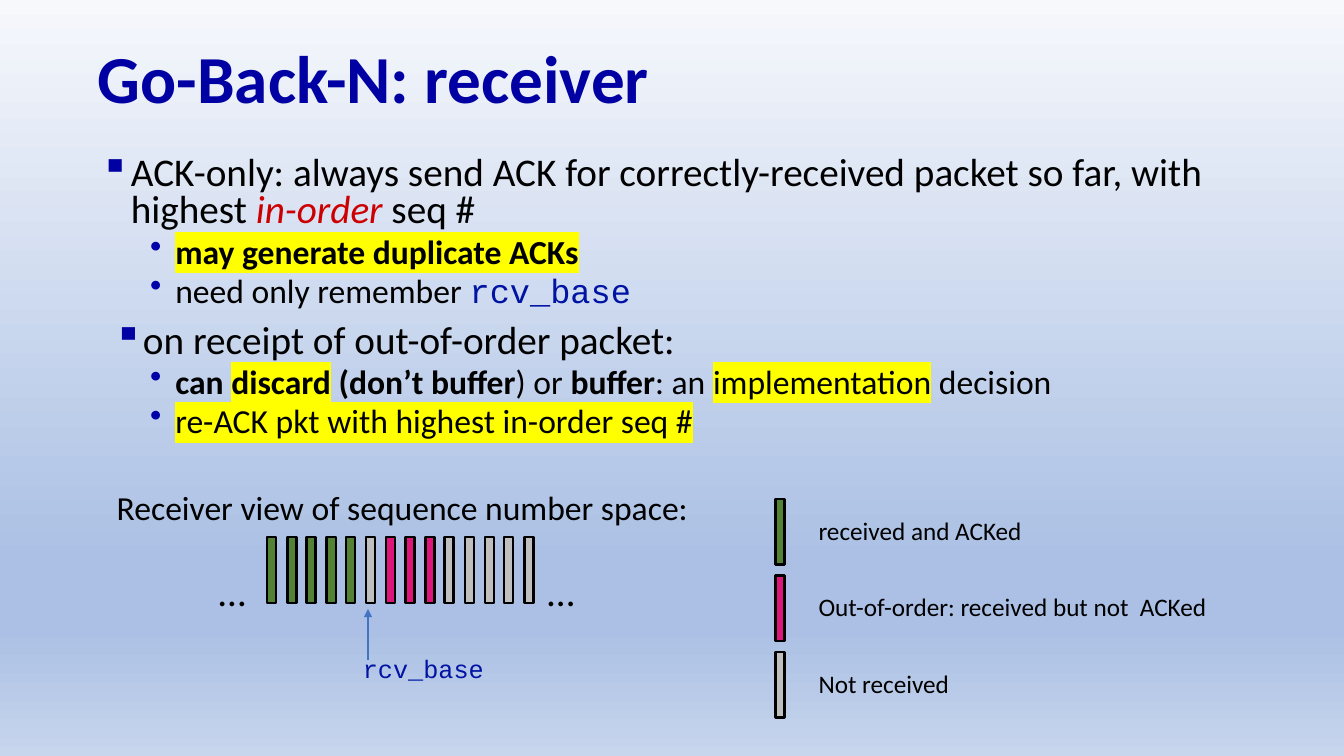
from copy import deepcopy
from dataclasses import dataclass

from lxml import etree
from pptx import Presentation
from pptx import util as u
from pptx.dml.color import RGBColor
from pptx.enum import shapes, text
from pptx.oxml.ns import qn

PX = 9144  # EMU in one px, 100 px to the inch


@dataclass(frozen=True)
class Theme:
    font: str = "Calibri"
    code_font: str = "Courier New"
    title_size: int = 48
    body_size: int = 28
    detail_size: int = 24
    label_size: int = 18
    navy: str = "0000A3"
    bullet_blue: str = "0000A8"
    code_blue: str = "0013A3"
    black: str = "000000"
    red: str = "CC0000"
    yellow: str = "FFFF00"
    acked: str = "548235"
    out_of_order: str = "DF167A"
    missing: str = "BFBFBF"
    arrow: str = "4472C4"
    background: tuple = ((0, "F6F8FC"), (0.74, "ABC0E4"), (0.83, "ABC0E4"), (1, "C7D5ED"))


THEME = Theme()
CODE = dict(font=THEME.code_font, color=THEME.code_blue)
BOLD = dict(bold=True)
MARKED = dict(highlight=THEME.yellow)

# Each bullet: level, left margin and hanging indent in px, runs
BULLETS = [
    (0, 32, 30, [("ACK-only: always send ACK for correctly-received packet so far, with highest ", {}),
                 ("in-order", dict(color=THEME.red, italic=True)),
                 (" seq #", {})]),
    (1, 76, 25, [("may generate duplicate ACKs", BOLD | MARKED)]),
    (1, 76, 25, [("need only remember ", {}), ("rcv_base", CODE)]),
    (0, 39, 24, [("on receipt of out-of-order packet:", {})]),
    (1, 76, 25, [("can ", BOLD), ("discard", BOLD | MARKED), (" (don’t buffer", BOLD),
                 (") or ", {}), ("buffer", BOLD), (": an ", {}),
                 ("implementation", MARKED), (" decision", {})]),
    (1, 76, 25, [("re-ACK pkt with highest in-order seq #", MARKED)]),
]
PACKETS = [THEME.acked] * 5 + [THEME.missing] + [THEME.out_of_order] * 3 + [THEME.missing] * 5
LEGEND = [
    (THEME.acked, "received and ACKed", 229),
    (THEME.out_of_order, "Out-of-order: received but not  ACKed", 409),
    (THEME.missing, "Not received", 151),
]


def px(*lengths):
    return [u.Emu(length * PX) for length in lengths]


def add_run(paragraph, words, size, font=THEME.font, color=THEME.black,
            bold=False, italic=False, highlight=None):
    run = paragraph.add_run()
    run.text = words
    run.font.size = u.Pt(size)
    run.font.bold = bold
    run.font.italic = italic
    run.font.color.rgb = RGBColor.from_string(color)
    run.font.name = font
    if highlight:
        mark = etree.Element(qn("a:highlight"))
        etree.SubElement(mark, qn("a:srgbClr"), val=highlight)
        run.font._element.find(qn("a:latin")).addprevious(mark)


class SlideBuilder:
    def __init__(self, presentation, theme):
        self.theme = theme
        self.slide = presentation.slides.add_slide(presentation.slide_layouts[5])

    def background(self):
        fill = self.slide.background.fill
        fill.gradient()
        fill.gradient_angle = 270
        stop_list = self.slide._element.find(".//" + qn("a:gsLst"))
        while len(stop_list) < len(self.theme.background):
            stop_list.append(deepcopy(stop_list[0]))
        for stop, (position, color) in zip(fill.gradient_stops, self.theme.background):
            stop.position = position
            stop.color.rgb = RGBColor.from_string(color)

    def title(self, words, left, top, width, height):
        title = self.slide.shapes.title
        title.left, title.top, title.width, title.height = px(left, top, width, height)
        frame = title.text_frame
        frame.auto_size = text.MSO_AUTO_SIZE.NONE
        frame.vertical_anchor = text.MSO_ANCHOR.MIDDLE
        paragraph = frame.paragraphs[0]
        paragraph.alignment = text.PP_ALIGN.LEFT
        paragraph.line_spacing = 0.9
        add_run(paragraph, words, self.theme.title_size, color=self.theme.navy, bold=True)

    def bullets(self, items, left, top, width, height):
        frame = self.slide.shapes.add_textbox(*px(left, top, width, height)).text_frame
        frame.word_wrap = True
        for index, (level, margin, hanging, runs) in enumerate(items):
            paragraph = frame.add_paragraph() if index else frame.paragraphs[0]
            paragraph.level = level
            paragraph.line_spacing = 0.8
            if index:
                paragraph.space_before = u.Pt(5 if level else 10)
            properties = paragraph._p.get_or_add_pPr()
            properties.set("marL", str(margin * PX))
            properties.set("indent", str(-hanging * PX))
            bullet_color = etree.SubElement(properties, qn("a:buClr"))
            etree.SubElement(bullet_color, qn("a:srgbClr"),
                             val=self.theme.bullet_blue if level else self.theme.navy)
            etree.SubElement(properties, qn("a:buChar"), char="•" if level else "▪")
            size = self.theme.detail_size if level else self.theme.body_size
            for words, style in runs:
                add_run(paragraph, words, size, **style)

    def label(self, words, left, top, width, height, size, **style):
        frame = self.slide.shapes.add_textbox(*px(left, top, width, height)).text_frame
        frame.word_wrap = False
        frame.auto_size = text.MSO_AUTO_SIZE.SHAPE_TO_FIT_TEXT
        add_run(frame.paragraphs[0], words, size, **style)

    def packet(self, left, top, color):
        bar = self.slide.shapes.add_shape(shapes.MSO_SHAPE.RECTANGLE, *px(left, top, 9, 65))
        bar.shadow.inherit = False
        bar.fill.solid()
        bar.fill.fore_color.rgb = RGBColor.from_string(color)
        bar.line.color.rgb = RGBColor.from_string(self.theme.black)
        bar.line.width = u.Pt(1.75)

    def arrow(self, *ends):
        connector = self.slide.shapes.add_connector(shapes.MSO_CONNECTOR.STRAIGHT, *px(*ends))
        connector.line.color.rgb = RGBColor.from_string(self.theme.arrow)
        connector.line.width = u.Pt(1.75)
        etree.SubElement(connector.line._get_or_add_ln(), qn("a:tailEnd"), type="triangle")
        etree.SubElement(connector._element.spPr, qn("a:effectLst"))


def main():
    presentation = Presentation()
    presentation.slide_width, presentation.slide_height = px(1333, 750)
    builder = SlideBuilder(presentation, THEME)
    builder.background()
    builder.title("Go-Back-N: receiver", 87, 32, 1214, 98)
    builder.bullets(BULLETS, 88, 150, 1128, 312)

    builder.label("Receiver view of sequence number space:", 106, 478, 593, 50, THEME.detail_size)
    for index, color in enumerate(PACKETS):
        builder.packet(265 + round(19.6 * index), 533, color)
    for left in (207, 533):
        builder.label("…", left, 558, 47, 57, THEME.body_size)
    builder.label("rcv_base", 350, 643, 141, 40, THEME.label_size, **CODE)
    builder.arrow(365, 655, 365, 604)

    for index, (color, meaning, width) in enumerate(LEGEND):
        top = 495 + 76 * index
        builder.packet(769, top, color)
        builder.label(meaning, 802, top + 11, width, 40, THEME.label_size)
    presentation.save("out.pptx")


if __name__ == "__main__":
    main()
